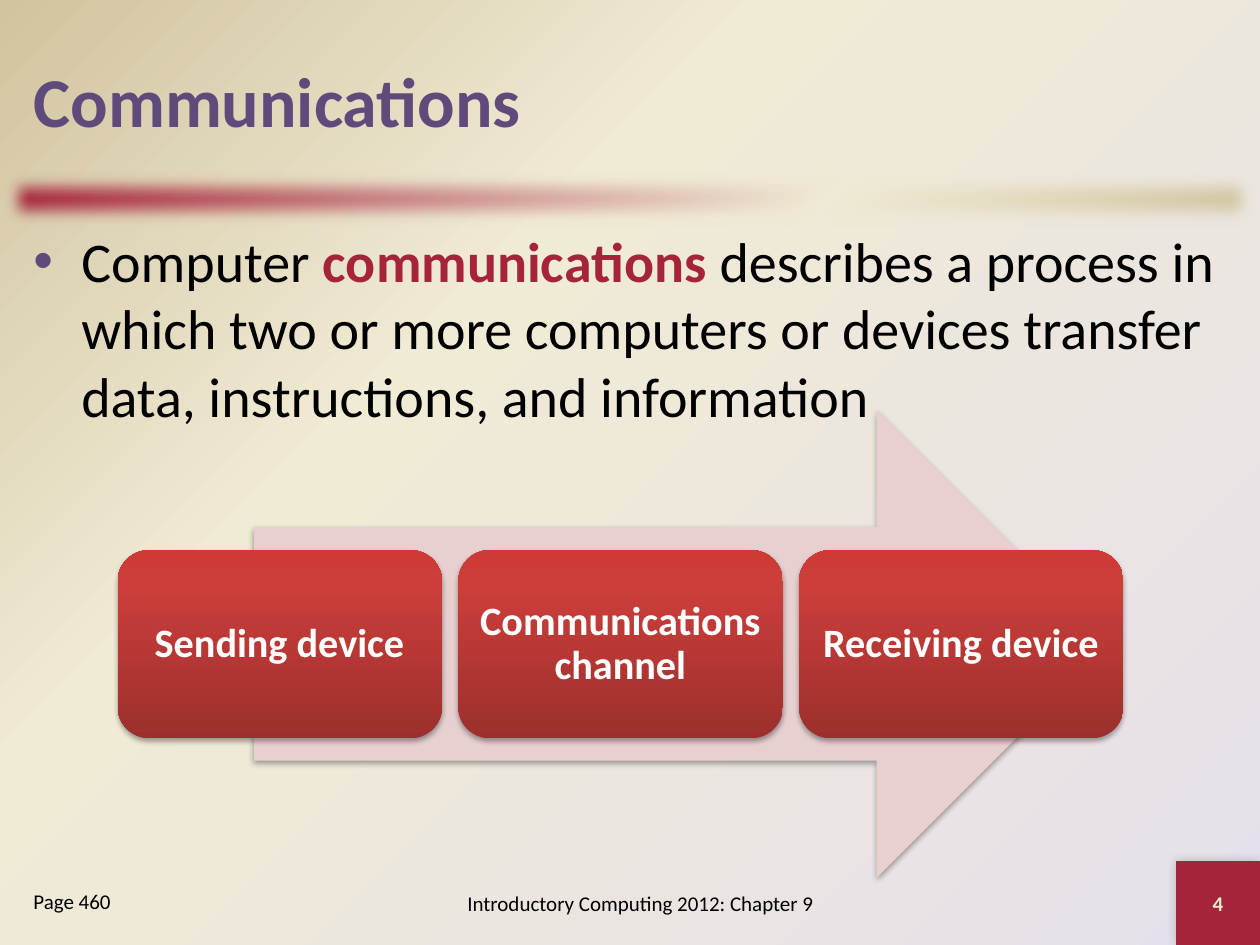
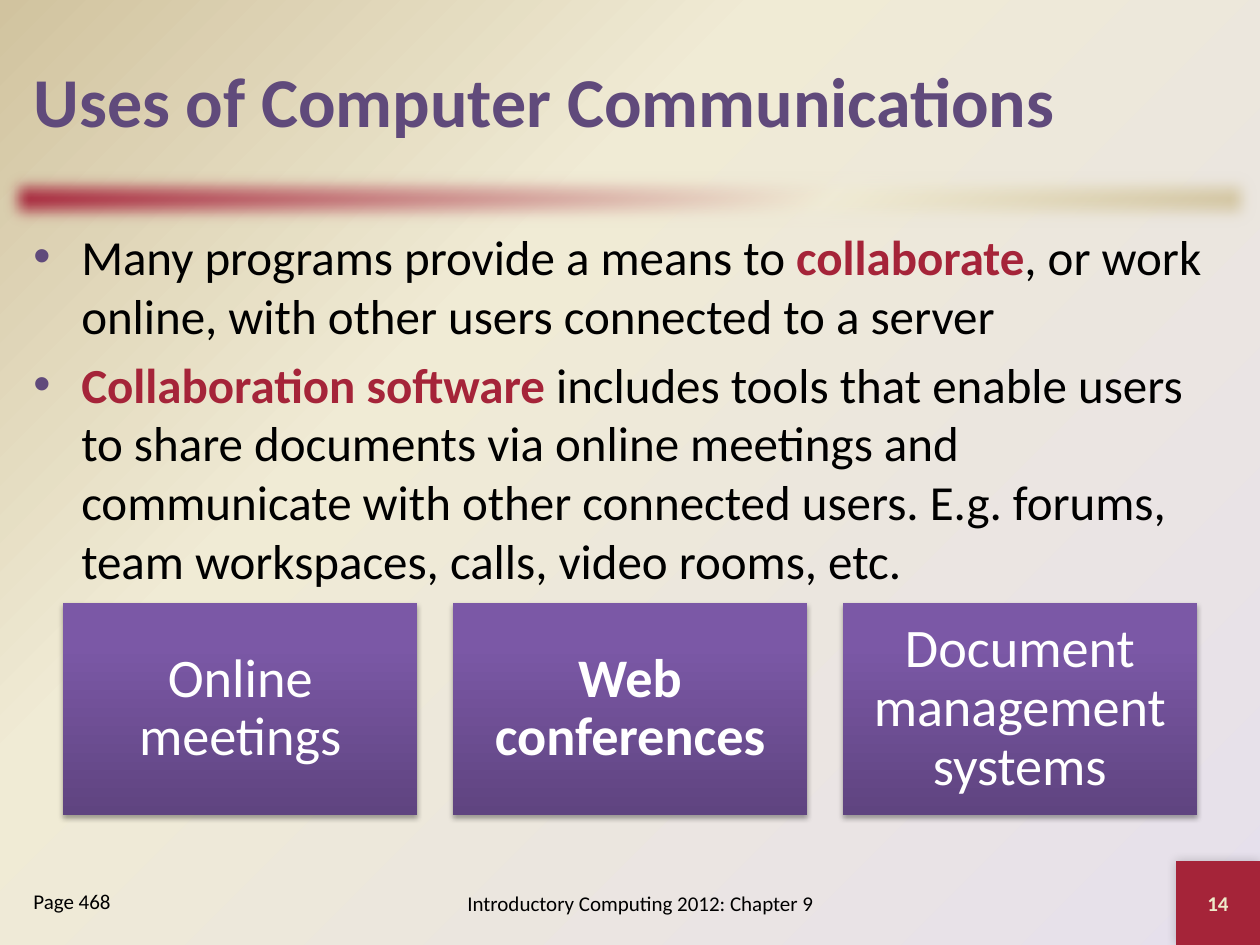
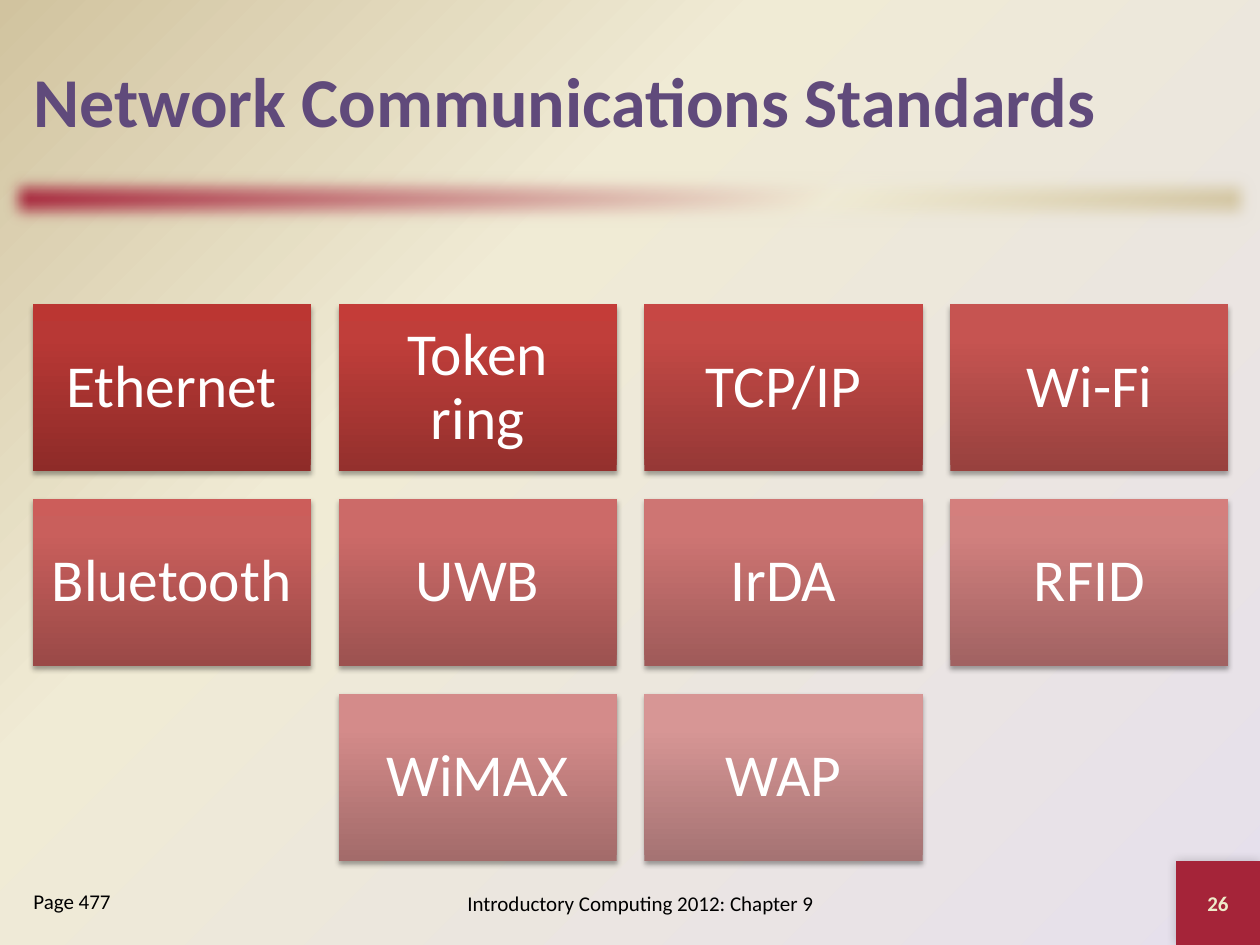
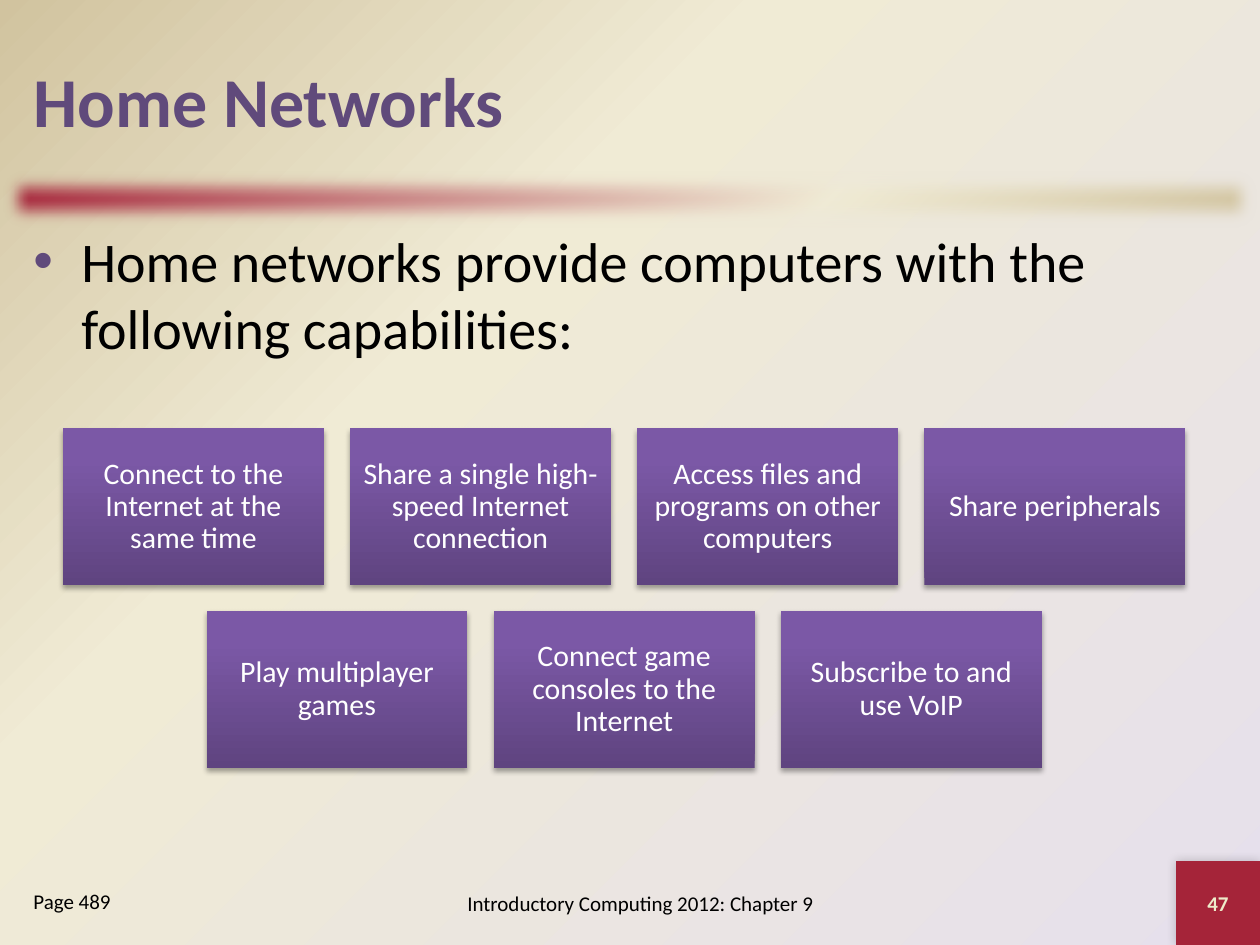
from dataclasses import dataclass

from lxml import etree
from pptx import Presentation, util as u
from pptx.dml.color import RGBColor
from pptx.enum import shapes, text
from pptx.oxml import ns


@dataclass(frozen=True)
class Theme:
    font: str = "Calibri"
    purple: str = "604A7B"
    red: str = "A52439"
    cream: str = "F0EBD5"
    sand: str = "D1C39F"
    lilac: str = "E6E0EC"
    arrow: str = "E8D0D0"
    badge_text: str = "EEEBCA"
    black: str = "000000"
    white: str = "FFFFFF"
    title_size: int = 40
    small_size: int = 12
    # Card gradients run from bottom to top
    red_card: tuple = ("9C2F2D", "CB3E3A", "CE3B37")
    purple_card: tuple = ("5F4480", "7B58A6", "7C57A8")
    ramp_first: tuple = ("8E2B28", "B83835", "BB3632")
    ramp_start: tuple = ("94302D", "C03E3A", "C43C38")
    ramp_end: tuple = ("A57373", "D79695", "D99594")


T = Theme()
COLS, ROWS = 60, 45            # grid over the whole slide
UNIT = u.Inches(10) // COLS    # one grid cell is square
FOOTER = "Introductory Computing 2012: Chapter 9"


def grid(*cells):
    return [round(c * UNIT) for c in cells]


# ---- Formatting helpers ----
def add_xml(parent, tag, **attrs):
    return etree.SubElement(parent, ns.qn(tag), {k: str(v) for k, v in attrs.items()})


def set_gradient(owner, fill, stops, angle=None):
    """Linear gradient at an angle, or a radial one from the bottom right corner."""
    fill.gradient()
    grad = owner.find(".//" + ns.qn("a:gradFill"))
    for child in list(grad):
        grad.remove(child)
    stop_list = add_xml(grad, "a:gsLst")
    for pos, color in stops:
        add_xml(add_xml(stop_list, "a:gs", pos=pos * 1000), "a:srgbClr", val=color)
    if angle is None:
        radial = add_xml(grad, "a:path", path="circle")
        add_xml(radial, "a:fillToRect", l=100000, t=100000)
    else:
        add_xml(grad, "a:lin", ang=angle * 60000, scaled=0)


def set_effect(sp, tag, **attrs):
    sp.shadow.inherit = False
    effects = sp.element.spPr.find(ns.qn("a:effectLst"))
    return add_xml(effects, tag, **attrs)


def set_shadow(sp, alpha=35, blur=3.1, dist=1.8, angle=90):
    shadow = set_effect(sp, "a:outerShdw", blurRad=u.Pt(blur), dist=u.Pt(dist),
                        dir=angle * 60000, algn="ctr", rotWithShape=0)
    color = add_xml(shadow, "a:srgbClr", val=T.black)
    add_xml(color, "a:alpha", val=alpha * 1000)


def style(font, size, color, bold=False):
    font.name, font.size, font.bold = T.font, u.Pt(size), bold
    font.color.rgb = RGBColor.from_string(color)


# ---- Elements ----
def add_shape(s, kind, box, color=None):
    sp = s.shapes.add_shape(kind, *grid(*box))
    sp.line.fill.background()
    if color:
        sp.fill.solid()
        sp.fill.fore_color.rgb = RGBColor.from_string(color)
    return sp


def add_label(s, label, box, color=T.black, bold=False, align=text.PP_ALIGN.LEFT,
              anchor=text.MSO_ANCHOR.TOP):
    tf = s.shapes.add_textbox(*grid(*box)).text_frame
    tf.word_wrap, tf.vertical_anchor = True, anchor
    tf.text = label
    p = tf.paragraphs[0]
    p.alignment = align
    style(p.runs[0].font, T.small_size, color, bold)


def add_bullets(s, paragraphs, size):
    """Bulleted text; the parts between bars are key terms."""
    tf = s.shapes.add_textbox(*grid(1, 10.5, 58, 30.5)).text_frame
    tf.word_wrap = True
    for i, paragraph in enumerate(paragraphs):
        p = tf.add_paragraph() if i else tf.paragraphs[0]
        indent = u.Inches(0.38)
        pPr = p._p.get_or_add_pPr()
        pPr.set("marL", str(indent))
        pPr.set("indent", str(-indent))
        if i:
            p.space_before = u.Pt(size * 0.2)
        add_xml(add_xml(pPr, "a:buClr"), "a:srgbClr", val=T.purple)
        add_xml(pPr, "a:buFont", typeface="Arial")
        add_xml(pPr, "a:buChar", char="•")
        for j, part in enumerate(paragraph.split("|")):
            if part:
                r = p.add_run()
                r.text = part
                is_key = j % 2 == 1
                style(r.font, size, T.red if is_key else T.black, is_key)


def add_card(s, label, box, colors, size, inset, bold, kind):
    sp = add_shape(s, kind, box)
    set_gradient(sp.element, sp.fill, zip((0, 80, 100), colors), 270)
    set_shadow(sp)
    tf = sp.text_frame
    tf.word_wrap, tf.vertical_anchor = True, text.MSO_ANCHOR.MIDDLE
    tf.margin_left = tf.margin_right = tf.margin_top = tf.margin_bottom = u.Inches(inset)
    tf.text = label
    p = tf.paragraphs[0]
    p.alignment, p.line_spacing = text.PP_ALIGN.CENTER, 0.9
    style(p.runs[0].font, size, T.white, bold)


def add_cards(s, labels, cols, left, top, span, palettes, size, inset, bold=(),
              gap=0.1, ratio=0.6, kind=shapes.MSO_SHAPE.RECTANGLE):
    """Rows of equal cards across a span; a short last row is centred.

    The gap and the height are shares of a card's width.
    """
    w = span / (cols + gap * (cols - 1))
    h, step = w * ratio, w * (1 + gap)
    for i, (label, colors) in enumerate(zip(labels, palettes)):
        row, col = divmod(i, cols)
        in_row = min(cols, len(labels) - row * cols)
        x = left + (col + (cols - in_row) / 2) * step
        y = top + row * (h + gap * w)
        add_card(s, label, (x, y, w, h), colors, size, inset, label in bold, kind)


def mix(start, end, share):
    pairs = zip(bytes.fromhex(start), bytes.fromhex(end))
    return "".join(f"{round(a + (b - a) * share):02X}" for a, b in pairs)


def red_ramp(count):
    """Card palettes that pale step by step after a darker first one."""
    steps = count - 2
    return [T.ramp_first] + [
        tuple(mix(a, b, i / steps) for a, b in zip(T.ramp_start, T.ramp_end))
        for i in range(steps + 1)]


# ---- Shared frame ----
def decorate_layout(prs, layout, s):
    """Put the background on the master, the bar and the badge on the layout."""
    background = prs.slide_master.background
    set_gradient(prs.slide_master.element, background.fill,
                 ((0, T.lilac), (65, T.cream), (100, T.sand)))
    bar = add_shape(s, shapes.MSO_SHAPE.RECTANGLE, (0, 8, COLS, 3))
    set_gradient(bar.element, bar.fill, ((0, T.red), (65, T.cream), (100, T.sand)), 45)
    set_effect(bar, "a:softEdge", rad=u.Inches(0.14))
    badge = add_shape(s, shapes.MSO_SHAPE.RECTANGLE, (COLS - 4, ROWS - 4, 4, 4), T.red)
    set_shadow(badge, alpha=20, blur=6, dist=0, angle=225)
    for sp in (bar, badge):
        layout.shapes.element.append(sp.element)


def add_slide(prs, title, number, page):
    layout = prs.slide_layouts.get_by_name("Title Only")
    s = prs.slides.add_slide(layout)
    if len(prs.slides) == 1:
        decorate_layout(prs, layout, s)
    sp = s.shapes.title
    sp.left, sp.top, sp.width, sp.height = grid(1, 1, 58, 7.5)
    tf = sp.text_frame
    tf.text, tf.vertical_anchor = title, text.MSO_ANCHOR.MIDDLE
    p = tf.paragraphs[0]
    p.alignment = text.PP_ALIGN.LEFT
    style(p.runs[0].font, T.title_size, T.purple, True)
    centred = dict(align=text.PP_ALIGN.CENTER, anchor=text.MSO_ANCHOR.MIDDLE)
    add_label(s, FOOTER, (18, 41.5, 25, 3), **centred)
    add_label(s, str(number), (COLS - 4, ROWS - 4, 4, 4), T.badge_text, True, **centred)
    add_label(s, f"Page {page}", (1, 42, 11, 3))
    return s


def main():
    prs = Presentation()
    prs.slide_width, prs.slide_height = COLS * UNIT, ROWS * UNIT

    # Communications
    s = add_slide(prs, "Communications", 4, 460)
    add_bullets(s, ["Computer |communications| describes a process in which two or more "
                    "computers or devices transfer data, instructions, and information"], 32)
    arrow = add_shape(s, shapes.MSO_SHAPE.RIGHT_ARROW, (12.1, 19.5, 40.8, 22.3), T.arrow)
    set_shadow(arrow)
    devices = ["Sending device", "Communications channel", "Receiving device"]
    add_cards(s, devices, 3, 5.6, 26.2, 47.9, [T.red_card] * 3, 23, 0.1, bold=devices,
              gap=0.05, ratio=0.58, kind=shapes.MSO_SHAPE.ROUNDED_RECTANGLE)

    # Uses of computer communications
    s = add_slide(prs, "Uses of Computer Communications", 14, 468)
    add_bullets(s, ["Many programs provide a means to |collaborate|, or work online, "
                    "with other users connected to a server",
                    "|Collaboration software |includes tools that enable users to share "
                    "documents via online meetings and communicate with other connected "
                    "users. E.g. forums, team workspaces, calls, video rooms, etc."], 28)
    uses = ["Online meetings", "Web conferences", "Document management systems"]
    add_cards(s, uses, 3, 3, 28.7, 54, [T.purple_card] * 3, 31, 0.13,
              bold=["Web conferences"])

    # Network communications standards
    s = add_slide(prs, "Network Communications Standards", 26, 477)
    standards = ["Ethernet", "Token ring", "TCP/IP", "Wi-Fi", "Bluetooth",
                 "UWB", "IrDA", "RFID", "WiMAX", "WAP"]
    add_cards(s, standards, 4, 1.55, 14.5, 56.95, red_ramp(len(standards)), 34, 0.14)

    # Home networks
    s = add_slide(prs, "Home Networks", 47, 489)
    add_bullets(s, ["Home networks provide computers with the following capabilities:"], 32)
    capabilities = ["Connect to the Internet at the same time",
                    "Share a single high-speed Internet connection",
                    "Access files and programs on other computers",
                    "Share peripherals", "Play multiplayer games",
                    "Connect game consoles to the Internet",
                    "Subscribe to and use VoIP"]
    add_cards(s, capabilities, 4, 3, 20.4, 53.45,
              [T.purple_card] * len(capabilities), 17, 0.07)

    prs.save("out.pptx")


if __name__ == "__main__":
    main()
